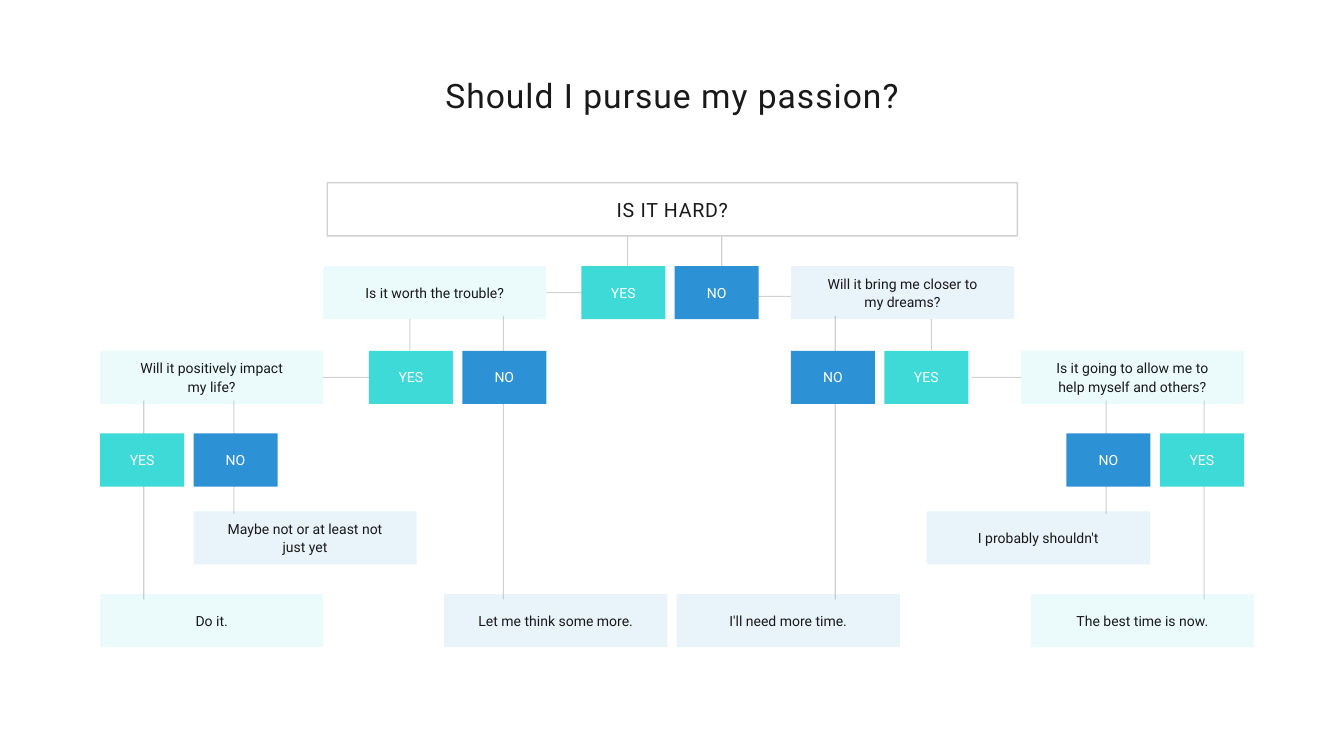
import pptx
import pptx.util
import pptx.dml.color
import pptx.enum.shapes
import pptx.enum.text
import pptx.oxml.ns
import lxml.etree

Inches, Pt = pptx.util.Inches, pptx.util.Pt
qn = pptx.oxml.ns.qn

COLORS = {"ink": "191919", "white": "FFFFFF", "teal": "3EDAD8", "blue": "2C92D5"}
FONT = "Roboto"

# Sizes and tops of the tree's levels, in inches
BOX_H, ANSWER_W, STEP_W = 0.79, 1.25, 3.32
LEVELS = [3.96, 5.22, 6.45, 7.61, 8.84]

# Yes/no boxes: left, level, word
ANSWERS = [
    (8.65, 0, "YES"), (10.04, 0, "NO"),
    (5.49, 1, "YES"), (6.88, 1, "NO"), (11.77, 1, "NO"), (13.16, 1, "YES"),
    (1.49, 2, "YES"), (2.88, 2, "NO"), (15.87, 2, "NO"), (17.26, 2, "YES"),
]

# Questions and outcomes: left, level, tint, text
STEPS = [
    (4.81, 0, "teal", "Is it worth the trouble?"),
    (11.77, 0, "blue", "Will it bring me closer to my dreams?"),
    (1.49, 1, "teal", "Will it positively impact\nmy life?"),
    (15.19, 1, "teal", "Is it going to allow me to help myself and others?"),
    (2.88, 3, "blue", "Maybe not or at least not just yet"),
    (13.79, 3, "blue", "I probably shouldn't"),
    (1.49, 4, "teal", "Do it."),
    (6.61, 4, "blue", "Let me think some more."),
    (10.07, 4, "blue", "I'll need more time."),
    (15.34, 4, "teal", "The best time is now."),
]

# Vertical branches: top, bottom and the x of each line
BRANCHES = [
    (3.52, 3.98, [9.34, 10.74]),
    (4.75, 5.21, [6.1, 13.86]),
    (4.7, 8.92, [7.49, 12.43]),
    (5.96, 7.65, [3.48, 16.46]),
    (5.96, 8.92, [2.14, 17.92]),
]


def paint(fill, color, alpha=100):
    """Fill with a solid colour at the given opacity in percent."""
    fill.solid()
    fill.fore_color.rgb = pptx.dml.color.RGBColor.from_string(COLORS[color])
    if alpha < 100:
        for clr in fill._xPr.iter(qn("a:srgbClr")):
            lxml.etree.SubElement(clr, qn("a:alpha")).set("val", str(alpha * 1000))


def write(sp, text, size=15, color="ink", leading=19.5, spacing=0, inset=0, bottom=0):
    tf = sp.text_frame
    tf.word_wrap = True
    tf.vertical_anchor = pptx.enum.text.MSO_ANCHOR.MIDDLE
    tf.margin_left = tf.margin_right = Inches(inset)
    tf.margin_top, tf.margin_bottom = 0, Inches(bottom)
    tf.text = text
    for p in tf.paragraphs:
        p.alignment = pptx.enum.text.PP_ALIGN.CENTER
        p.line_spacing = Pt(leading)
        for r in p.runs:
            r.font.name, r.font.size = FONT, Pt(size)
            r.font.color.rgb = pptx.dml.color.RGBColor.from_string(COLORS[color])
            if spacing:
                r.font._element.set("spc", str(round(spacing * 100)))


def add_box(s, left, top, width, color=None, alpha=100):
    sp = s.shapes.add_shape(pptx.enum.shapes.MSO_SHAPE.RECTANGLE, Inches(left),
                            Inches(top), Inches(width), Inches(BOX_H))
    sp.shadow.inherit = False
    sp.line.fill.background()
    if color:
        paint(sp.fill, color, alpha)
    else:
        sp.fill.background()
    return sp


def add_line(s, x1, y1, x2, y2, begin=None, end=None):
    """Draw a line; begin and end are boxes joined at their right and left sides."""
    c = s.shapes.add_connector(pptx.enum.shapes.MSO_CONNECTOR.STRAIGHT,
                               Inches(x1), Inches(y1), Inches(x2), Inches(y2))
    if begin is not None:
        c.begin_connect(begin, 3)
    if end is not None:
        c.end_connect(end, 1)
    c.line.width = Pt(1.15)
    paint(c.line.fill, "ink", 20)
    lxml.etree.SubElement(c._element.spPr, qn("a:effectLst"))


def main():
    prs = pptx.Presentation()
    prs.slide_width, prs.slide_height = Inches(20), Inches(11.25)
    s = prs.slides.add_slide(prs.slide_layouts[6])

    # Title
    title = s.shapes.add_textbox(Inches(3.36), Inches(1.07), Inches(13.29), Inches(0.64))
    write(title, "Should I pursue my passion?", size=36, leading=47.2, spacing=1.1)

    # Opening question
    root = add_box(s, 4.87, 2.72, 10.27)
    root.line.width = Pt(1.5)
    paint(root.line.fill, "ink", 20)
    write(root, "IS IT HARD?", size=21, leading=27.3, spacing=0.8, bottom=0.03)

    # Vertical branches, behind the boxes
    for top, bottom, xs in BRANCHES:
        for x in xs:
            add_line(s, x, top, x, bottom)

    # Boxes
    boxes = {}
    for left, level, tint, text in STEPS:
        sp = boxes[left, level] = add_box(s, left, LEVELS[level], STEP_W, tint, 10)
        write(sp, text, inset=0.38, bottom=0.02)
    for left, level, word in ANSWERS:
        color = "teal" if word == "YES" else "blue"
        sp = boxes[left, level] = add_box(s, left, LEVELS[level], ANSWER_W, color)
        write(sp, word, color="white", inset=0.11, bottom=0.02)

    # Horizontal links between questions and answers
    mid = [top + BOX_H / 2 for top in LEVELS]
    add_line(s, 8.13, mid[0], 8.65, mid[0], boxes[4.81, 0], boxes[8.65, 0])
    add_line(s, 11.29, 4.41, 11.77, 4.41)
    add_line(s, 4.81, mid[1], 5.49, mid[1], boxes[1.49, 1], boxes[5.49, 1])
    add_line(s, 14.46, mid[1], 15.19, mid[1], end=boxes[15.19, 1])

    prs.save("out.pptx")


if __name__ == "__main__":
    main()
